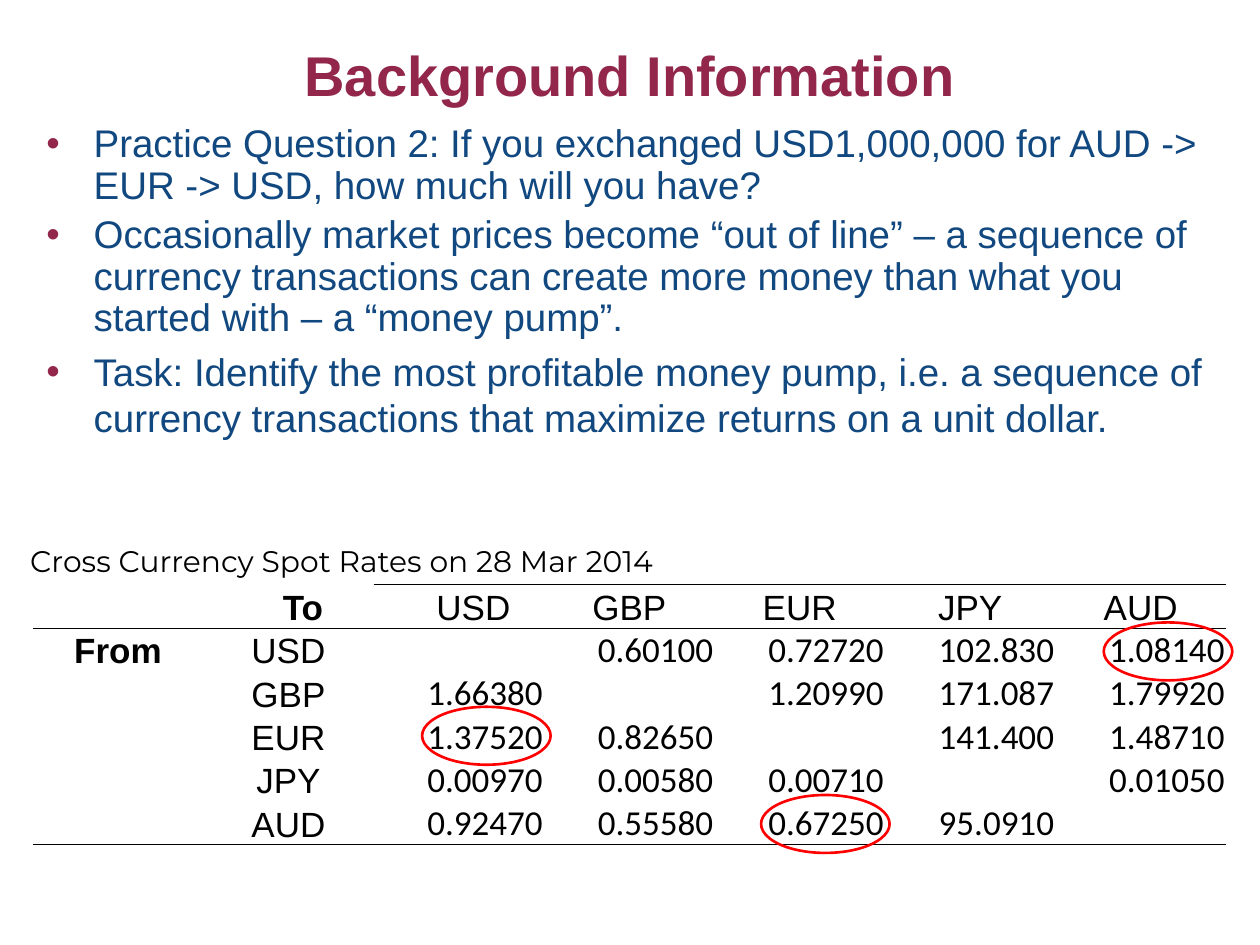
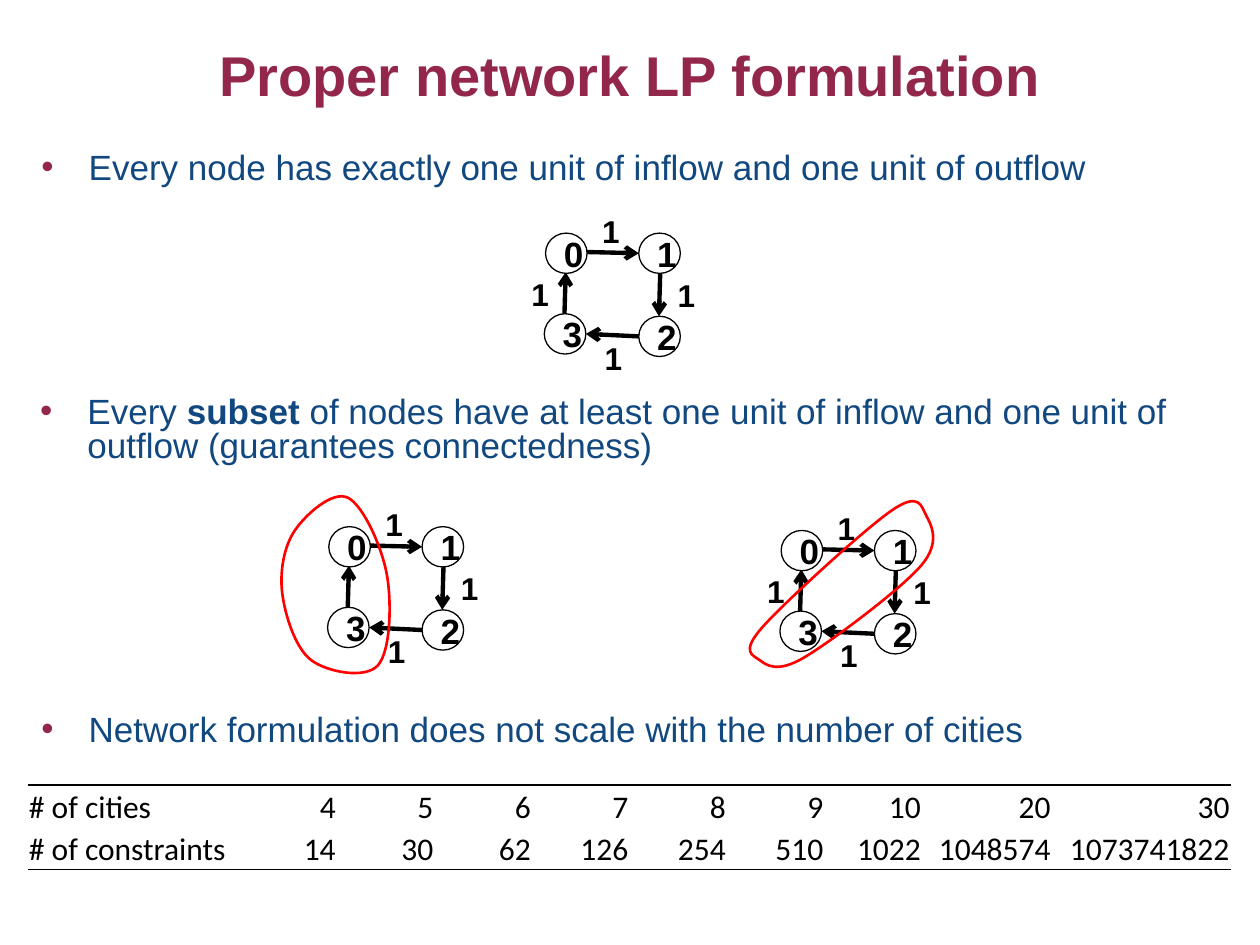
import pptx
import pptx.dml.color
import pptx.enum.shapes
import pptx.enum.text
import pptx.oxml
import pptx.oxml.ns
import pptx.util

Inches = pptx.util.Inches
ALIGN = pptx.enum.text.PP_ALIGN
ANCHOR = pptx.enum.text.MSO_ANCHOR
SHAPE = pptx.enum.shapes.MSO_SHAPE
COLORS = {"title": "92264B", "body": "114880", "ink": "000000", "mark": "FF0000", "paper": "FFFFFF"}
NO_GRID_STYLE = "{2D5ABB26-0587-4C30-8999-92F81FD0307C}"
BULLET_INDENT = 3 / 8

RATES = [
    ["", "To", "USD", "GBP", "EUR", "JPY", "AUD"],
    ["From", "USD", "", "0.60100", "0.72720", "102.830", "1.08140"],
    ["", "GBP", "1.66380", "", "1.20990", "171.087", "1.79920"],
    ["", "EUR", "1.37520", "0.82650", "", "141.400", "1.48710"],
    ["", "JPY", "0.00970", "0.00580", "0.00710", "", "0.01050"],
    ["", "AUD", "0.92470", "0.55580", "0.67250", "95.0910", ""],
]
SCALING = [
    ["# of cities", "4", "5", "6", "7", "8", "9", "10", "20", "30"],
    ["# of constraints", "14", "30", "62", "126", "254", "510", "1022", "1048574", "1073741822"],
]
LEFT_PAIR_LOOP = [(-0.06, 0.25), (-0.16, 0.75), (0.07, 1.28), (0.6, 1.32), (0.67, 0.6), (0.36, -0.01)]
DIAGONAL_LOOP = [(1.09, 0.06), (0.06, 0.99), (0.04, 1.25), (0.39, 1.23), (1.32, 0.5), (1.36, 0.1)]


def rgb(name):
    return pptx.dml.color.RGBColor.from_string(COLORS[name])


def xml(tag, content="", attributes=""):
    namespace = pptx.oxml.ns.nsdecls("a")
    return pptx.oxml.parse_xml(f"<a:{tag} {namespace} {attributes}>{content}</a:{tag}>")


def solid(name):
    return f'<a:solidFill><a:srgbClr val="{COLORS[name]}"/></a:solidFill>'


def set_format(target, values):
    for name, value in values.items():
        setattr(target, name, value)


def add_span(para, text, size, color="ink", bold=False, font="Arial"):
    span = para.add_run()
    span.text = text
    set_format(span.font, {"size": pptx.util.Pt(size), "bold": bold, "name": font})
    span.font.color.rgb = rgb(color)


def add_text_frame(shapes, box, **values):
    frame = shapes.add_textbox(*map(Inches, box)).text_frame
    set_format(frame, {"word_wrap": True, **values})
    return frame


def add_page(deck, title):
    page = deck.slides.add_slide(deck.slide_layouts[6])
    frame = add_text_frame(page.shapes, (0, 0, 10, 1.18), vertical_anchor=ANCHOR.MIDDLE)
    frame.paragraphs[0].alignment = ALIGN.CENTER
    add_span(frame.paragraphs[0], title, 32, "title", True)
    return page


def add_bullets(page, box, items, size):
    frame = add_text_frame(page.shapes, box)
    indent = Inches(BULLET_INDENT)
    for index, (spacing, spans) in enumerate(items):
        para = frame.add_paragraph() if index else frame.paragraphs[0]
        para.line_spacing = spacing
        props = para._p.get_or_add_pPr()
        props.set("marL", str(indent))
        props.set("indent", str(-indent))
        props.append(xml("spcBef", '<a:spcPct val="20000"/>'))
        props.append(xml("buClr", f'<a:srgbClr val="{COLORS["title"]}"/>'))
        props.append(xml("buFont", attributes='typeface="Arial"'))
        props.append(xml("buChar", attributes='char="•"'))
        for text, bold in spans:
            add_span(para, text, size, "body", bold)


def add_grid(page, box, widths, heights):
    holder = page.shapes.add_table(len(heights), len(widths), *map(Inches, box))
    table = holder.table
    set_format(table, {"first_row": False, "horz_banding": False})
    table._tbl.tblPr[0].text = NO_GRID_STYLE
    for column, width in zip(table.columns, widths):
        column.width = Inches(width)
    for row, height in zip(table.rows, heights):
        row.height = Inches(height)
    holder.height = Inches(box[3])
    return table


def fill_cell(cell, text, align, size, margin_left=0.01, **font):
    set_format(cell, {
        "margin_left": Inches(margin_left), "margin_right": Inches(0.01),
        "margin_top": Inches(0.01), "margin_bottom": 0,
        "vertical_anchor": ANCHOR.BOTTOM,
    })
    cell.fill.background()
    para = cell.text_frame.paragraphs[0]
    para.alignment = align
    if text:
        add_span(para, text, size, **font)
    else:
        para._p.append(xml("endParaRPr", attributes=f'sz="{size * 100}"'))


def rule_cell(cell, side, width):
    line = xml(f"ln{side}", solid("ink"), f'w="{pptx.util.Pt(width)}"')
    cell._tc.get_or_add_tcPr().insert(0, line)


def add_rates_table(page, box):
    heights = [0.29, 0.29, 0.34, 0.29, 0.29, 0.29]
    table = add_grid(page, box, [box[2] / 7] * 7, heights)
    for r, row in enumerate(RATES):
        for c, text in enumerate(row):
            cell = table.cell(r, c)
            is_label = r == 0 or c < 2
            fill_cell(
                cell, text, ALIGN.CENTER if is_label else ALIGN.RIGHT, 20,
                margin_left=0.24 if r == 0 and c in (1, 2) else 0.01,
                bold=text in ("To", "From"), font="Arial" if is_label else "Calibri",
            )
            if r in (0, len(RATES) - 1):
                rule_cell(cell, "B", 0.5)
            if r == 0 and c > 1:
                rule_cell(cell, "T", 0.5)


def add_rate_rings(page, spots):
    for left, top in spots:
        ring = page.shapes.add_shape(SHAPE.OVAL, *map(Inches, (left, top, 1.02, 0.46)))
        ring.fill.background()
        outline(ring, "mark", 1.5)


def add_scaling_table(page, box):
    first, last_two = 1.68, [1.03, 1.42]
    middle = (box[2] - first - sum(last_two)) / 7
    table = add_grid(page, box, [first] + [middle] * 7 + last_two, [0.33, 0.34])
    for r, row in enumerate(SCALING):
        for c, text in enumerate(row):
            cell = table.cell(r, c)
            fill_cell(cell, text, ALIGN.RIGHT if c else ALIGN.LEFT, 18, font="Calibri")
            rule_cell(cell, "B" if r else "T", 0.75)


def outline(shape, color, width):
    shape.shadow.inherit = False
    shape.line.color.rgb = rgb(color)
    shape.line.width = pptx.util.Pt(width)


def add_arrow(shapes, start, end):
    arrow = shapes.add_connector(
        pptx.enum.shapes.MSO_CONNECTOR.STRAIGHT, *map(Inches, start + end))
    arrow.line.color.rgb = rgb("ink")
    arrow.line.width = pptx.util.Pt(2.5)
    arrow.line._get_or_add_ln().append(xml("tailEnd", attributes='type="arrow"'))
    arrow._element.spPr.append(xml("effectLst"))


def add_node(shapes, left, top, name):
    node = shapes.add_shape(
        SHAPE.FLOWCHART_CONNECTOR, *map(Inches, (left, top, 0.33, 0.32)))
    node.fill.solid()
    node.fill.fore_color.rgb = rgb("paper")
    outline(node, "ink", 0.75)
    set_format(node.text_frame, {"word_wrap": True, "vertical_anchor": ANCHOR.MIDDLE})
    para = node.text_frame.paragraphs[0]
    para.alignment = ALIGN.CENTER
    add_span(para, name, 20, bold=True)


def curve_points(knots):
    points = []
    for i, start in enumerate(knots):
        before = knots[i - 1]
        end, after = knots[(i + 1) % len(knots)], knots[(i + 2) % len(knots)]
        points.append(tuple(s + (e - b) / 6 for b, s, e in zip(before, start, end)))
        points.append(tuple(e - (a - s) / 6 for s, e, a in zip(start, end, after)))
        points.append(end)
    return points


def add_loop(shapes, knots):
    points = [tuple(map(Inches, point)) for point in curve_points(knots)]
    builder = shapes.build_freeform(*points[-1])
    builder.add_line_segments(points, close=True)
    loop = builder.convert_to_shape()
    segments = list(loop._element.iter(pptx.oxml.ns.qn("a:lnTo")))
    for i in range(0, len(points), 3):
        curve = xml("cubicBezTo")
        segments[i].addprevious(curve)
        for segment in segments[i:i + 3]:
            curve.append(segment[0])
    for segment in segments:
        segment.getparent().remove(segment)
    loop.fill.background()
    outline(loop, "mark", 1.5)


def add_cycle(page, left, top, knots=(), left_label=True):
    def place(spot):
        return left + spot[0], top + spot[1]

    shapes = page.shapes.add_group_shape().shapes
    arrows = [((0.36, 0.86), (0.37, 0.53)), ((1.12, 0.54), (1.11, 0.88)),
              ((0.53, 0.37), (0.95, 0.38)), ((0.95, 1.04), (0.53, 1.02))]
    nodes = {"0": (0.21, 0.22), "1": (0.95, 0.22), "3": (0.2, 0.86), "2": (0.95, 0.88)}
    labels = [(0.56, 0), (1.16, 0.51), (0.58, 1.01)] + [(0, 0.5)] * left_label
    for start, end in arrows:
        add_arrow(shapes, place(start), place(end))
    for name, spot in nodes.items():
        add_node(shapes, *place(spot), name)
    for spot in labels:
        frame = add_text_frame(shapes, (*place(spot), 0.33, 0.4))
        add_span(frame.paragraphs[0], "1", 18, bold=True)
    if knots:
        add_loop(shapes, [place(knot) for knot in knots])


def build_background_page(deck):
    page = add_page(deck, "Background Information")
    add_bullets(page, (0.27, 0.94, 9.39, 3.07), [
        (0.9, [("Practice Question 2: If you exchanged USD1,000,000 for AUD -> EUR -> USD, "
                "how much will you have?", False)]),
        (0.9, [("Occasionally market prices become “out of line” – a sequence of currency "
                "transactions can create more money than what you started with – "
                "a “money pump”.", False)]),
        (1.0, [("Task: Identify the most profitable money pump, i.e. a sequence of currency "
                "transactions that maximize returns on a unit dollar.", False)]),
    ], 22)
    add_rates_table(page, (0.26, 4.64, 9.47, 2.06))
    add_rate_rings(page, [(8.76, 4.94), (3.35, 5.61), (6.04, 6.31)])
    caption = add_text_frame(page.shapes, (0.14, 4.26, 5.88, 0.39), word_wrap=False)
    add_span(caption.paragraphs[0], "Cross Currency Spot Rates on 28 Mar 2014", 17, font="Montserrat")


def build_network_page(deck):
    page = add_page(deck, "Proper network LP formulation")
    statements = [
        (0.23, 1.17, [("Every node has exactly one unit of inflow and one unit of outflow", False)]),
        (0.22, 3.11, [("Every ", False), ("subset", True),
                      (" of nodes have at least one unit of inflow and one unit of outflow "
                       "(guarantees connectedness)", False)]),
        (0.23, 5.63, [("Network formulation does not scale with the number of cities", False)]),
    ]
    for left, top, spans in statements:
        add_bullets(page, (left, top, 9.39, 0.43), [(0.8, spans)], 20)
    add_cycle(page, 4.12, 1.63)
    add_cycle(page, 2.4, 3.96, LEFT_PAIR_LOOP, left_label=False)
    add_cycle(page, 5.99, 3.99, DIAGONAL_LOOP)
    add_scaling_table(page, (0.22, 6.23, 9.55, 0.66))


def main():
    deck = pptx.Presentation()
    set_format(deck, {"slide_width": Inches(10), "slide_height": Inches(7.5)})
    build_background_page(deck)
    build_network_page(deck)
    deck.save("out.pptx")


if __name__ == "__main__":
    main()
